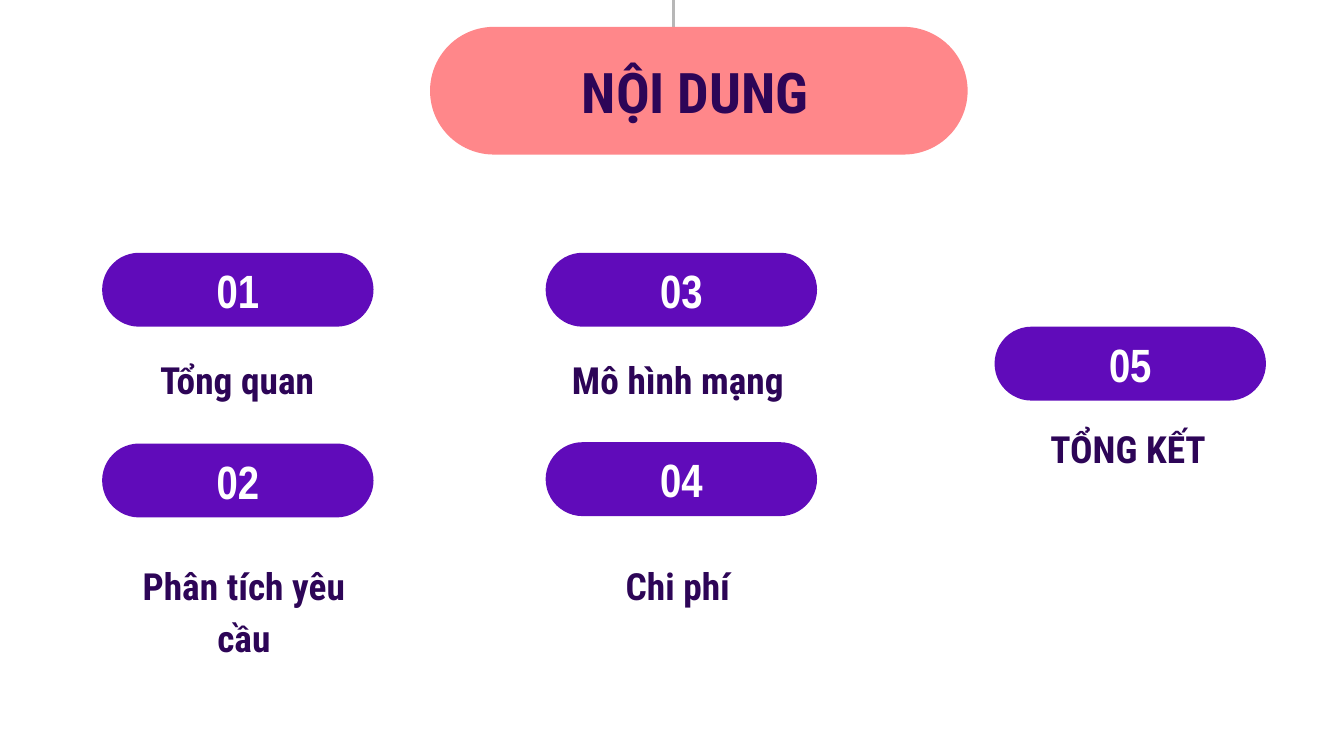
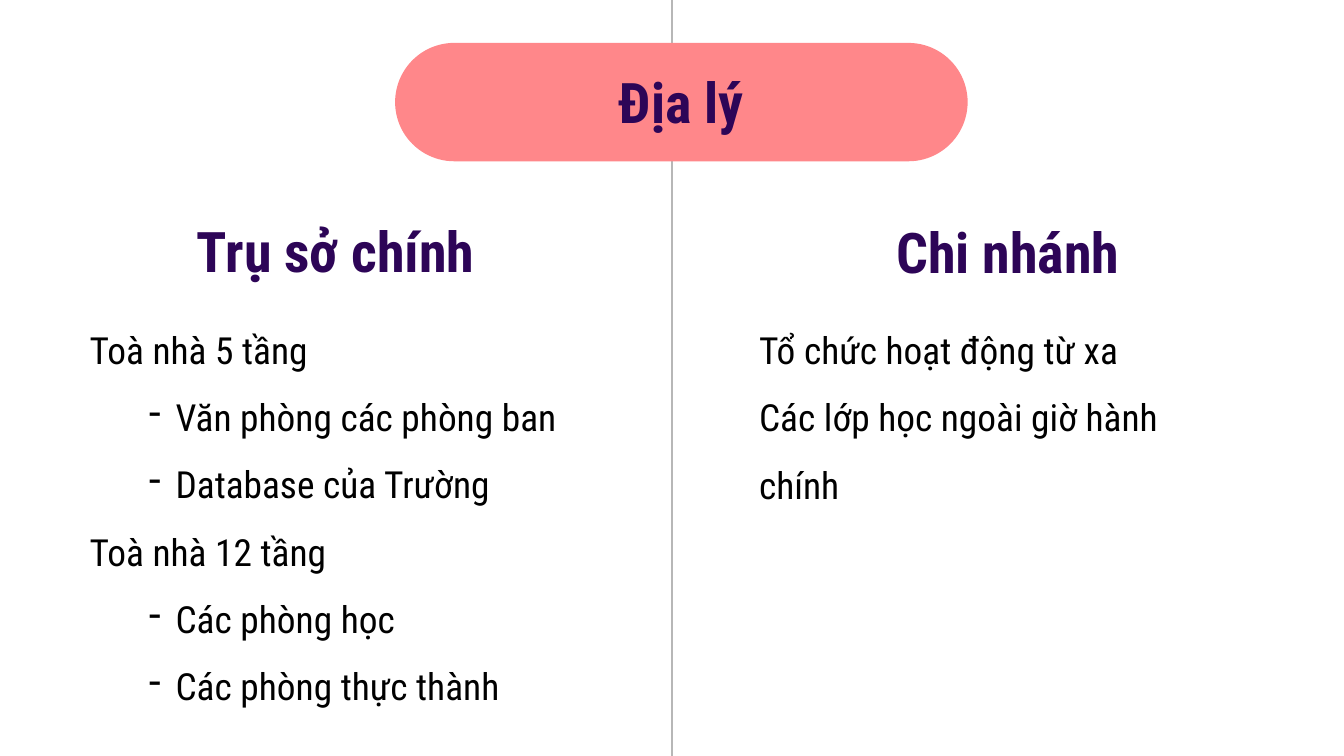
from lxml.etree import SubElement
from pptx import Presentation
from pptx.dml.color import RGBColor
from pptx.enum.shapes import MSO_CONNECTOR as CONNECTOR, MSO_SHAPE as SHAPE
from pptx.enum.text import MSO_ANCHOR as ANCHOR, MSO_AUTO_SIZE as AUTO, PP_ALIGN as ALIGN
from pptx.oxml.ns import qn
from pptx.util import Pt

COLORS = {"coral": "FF878A", "violet": "600BBA", "ink": "2D0557",
          "line": "B7B7B7", "white": "FFFFFF", "black": "000000"}

FRAME = {"word_wrap": True, "vertical_anchor": ANCHOR.MIDDLE,
         "margin_left": Pt(7.2), "margin_right": Pt(7.2),
         "margin_top": Pt(7.2), "margin_bottom": Pt(7.2)}
TOP_FRAME = FRAME | {"vertical_anchor": ANCHOR.TOP}
BOTTOM_FRAME = FRAME | {"vertical_anchor": ANCHOR.BOTTOM}
BODY_FRAME = TOP_FRAME | {"margin_top": Pt(3.6), "margin_bottom": Pt(3.6),
                          "auto_size": AUTO.SHAPE_TO_FIT_TEXT}

HEADING_FONT = {"name": "Roboto Condensed", "size": Pt(30), "bold": True}
LABEL_FONT = HEADING_FONT | {"size": Pt(20)}
BODY_FONT = LABEL_FONT | {"bold": False}
NUMBER_FONT = {"name": "Arial Narrow", "size": Pt(25), "bold": True}

CENTERED = {"alignment": ALIGN.CENTER}
LABEL_PARA = CENTERED | {"line_spacing": 1.15}
BODY_PARA = {"alignment": ALIGN.LEFT, "line_spacing": 1.5}


def write(shape, lines, color, frame_format, para_format, font_format):
    """Fill a shape with paragraphs; lines starting with "- " become dash items."""
    frame = shape.text_frame
    for key, value in frame_format.items():
        setattr(frame, key, value)
    for index, line in enumerate(lines):
        para = frame.add_paragraph() if index else frame.paragraphs[0]
        for key, value in para_format.items():
            setattr(para, key, value)
        run = para.add_run()
        run.text = line.removeprefix("- ")
        for key, value in font_format.items():
            setattr(run.font, key, value)
        run.font.color.rgb = RGBColor.from_string(COLORS[color])
        if line.startswith("- "):
            props = para._p.get_or_add_pPr()
            props.set("marL", str(Pt(46)))
            props.set("indent", str(-Pt(14.4)))
            SubElement(props, qn("a:buChar"), char="-")


def add_pill(slide, box, color):
    pill = slide.shapes.add_shape(SHAPE.ROUNDED_RECTANGLE, *map(Pt, box))
    pill.adjustments[0] = 0.5
    pill.shadow.inherit = False
    pill.fill.solid()
    pill.fill.fore_color.rgb = RGBColor.from_string(COLORS[color])
    pill.line.fill.background()
    return pill


prs = Presentation()
prs.slide_width, prs.slide_height = Pt(720), Pt(405)
blank = prs.slide_layouts[6]
agenda = prs.slides.add_slide(blank)
geography = prs.slides.add_slide(blank)

# Vertical rules, behind the title pills
for slide, x, top, bottom in [(agenda, 360.7, 0, 70),
                              (geography, 360, 0, 84),
                              (geography, 360, 86, 405)]:
    rule = slide.shapes.add_connector(CONNECTOR.STRAIGHT, Pt(x), Pt(top), Pt(x), Pt(bottom))
    rule.line.color.rgb = RGBColor.from_string(COLORS["line"])
    rule.line.width = Pt(1.5)
    SubElement(rule._element.spPr, qn("a:effectLst"))

# Title pills
for slide, title, pill_box, title_box, align in [
    (agenda, "NỘI DUNG", (230.4, 14.4, 288, 68.4), (304.6, 17.3, 268.6, 63.4), ALIGN.LEFT),
    (geography, "Địa lý", (211.7, 23, 306.7, 63.4), (211.7, 22.3, 306.7, 63.4), ALIGN.CENTER),
]:
    add_pill(slide, pill_box, "coral")
    heading = slide.shapes.add_textbox(*map(Pt, title_box))
    write(heading, [title], "ink", FRAME, {"alignment": align}, HEADING_FONT)

# Agenda: numbered pills, each with its topic below
topics = [("Tổng quan", (54.7, 135.4), (52.6, 180.7)),
          ("Phân tích yêu cầu", (54.7, 237.6), (56.2, 290.9)),
          ("Mô hình mạng", (292.3, 135.4), (288.7, 180.7)),
          ("Chi phí", (292.3, 236.9), (288.7, 290.9)),
          ("TỔNG KẾT", (532.8, 175), (529.9, 217.4))]
for number, (topic, pill_at, label_at) in enumerate(topics, 1):
    badge = add_pill(agenda, (*pill_at, 145.4, 39.6), "violet")
    write(badge, [f"{number:02}"], "white", FRAME, CENTERED, NUMBER_FONT)
    label = agenda.shapes.add_textbox(*map(Pt, (*label_at, 149, 49)))
    write(label, [topic], "ink", TOP_FRAME, LABEL_PARA, LABEL_FONT)

# Geography: one half of the slide per site
sites = [
    ("Trụ sở chính", (0, 128.2, 360, 31), (41, 159.8, 319, 220.3),
     ["Toà nhà 5 tầng", "- Văn phòng các phòng ban", "- Database của Trường",
      "Toà nhà 12 tầng", "- Các phòng học", "- Các phòng thực thành"]),
    ("Chi nhánh", (360, 128.9, 360, 31), (399.6, 159.8, 256.3, 111.6),
     ["Tổ chức hoạt động từ xa", "Các lớp học ngoài giờ hành chính"]),
]
for site, heading_box, body_box, details in sites:
    heading = geography.shapes.add_textbox(*map(Pt, heading_box))
    write(heading, [site], "ink", BOTTOM_FRAME, CENTERED, HEADING_FONT)
    body = geography.shapes.add_textbox(*map(Pt, body_box))
    write(body, details, "black", BODY_FRAME, BODY_PARA, BODY_FONT)

prs.save("out.pptx")
